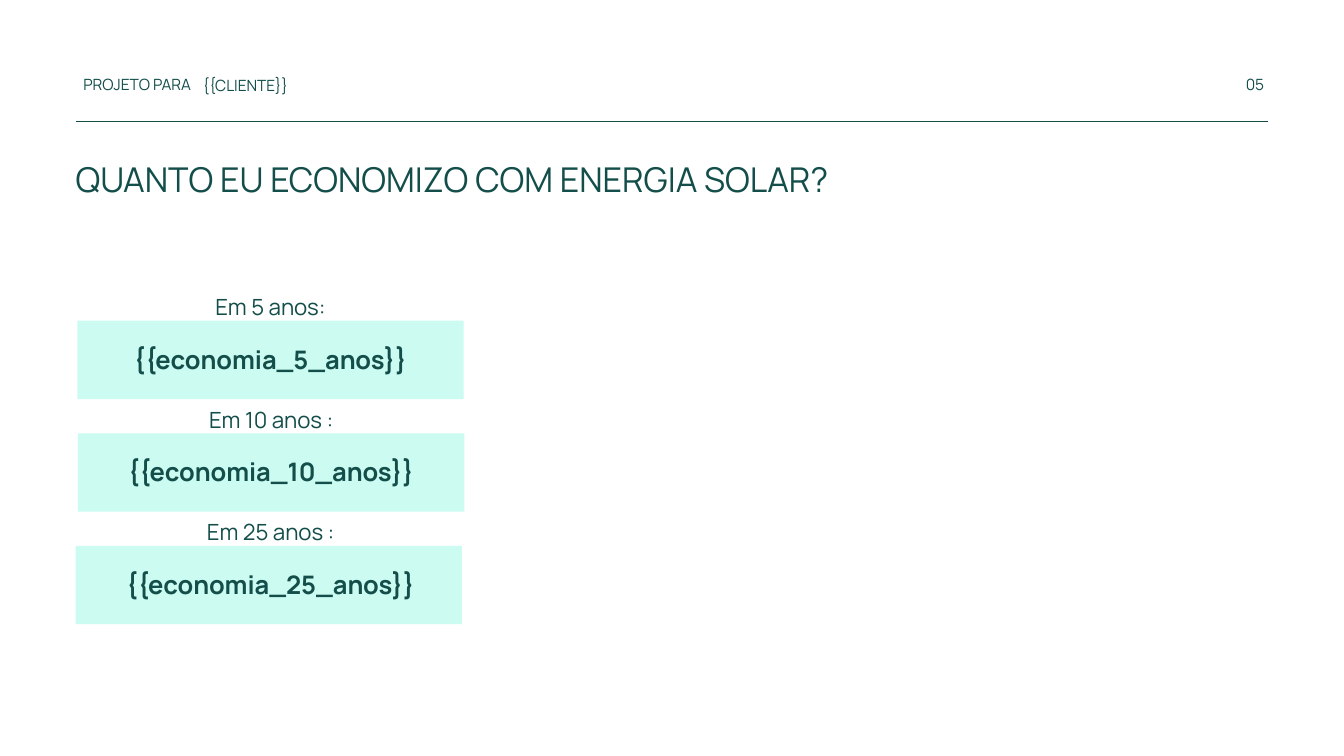
from dataclasses import dataclass

import lxml.etree
import pptx
import pptx.dml.color
import pptx.enum.shapes
import pptx.enum.text
import pptx.oxml.ns
import pptx.util

Pt = pptx.util.Pt
Align = pptx.enum.text.PP_ALIGN
TEAL = "134E4A"
MINT = "CCFBF1"
LEFT = 81
RIGHT = 1359
TOP = 309.6
PITCH = 120.6
BAND = 414


@dataclass
class Label:
    text: str
    left: float
    top: float
    width: float
    height: float
    size: float
    lead: float
    align: Align = Align.CENTER
    bold: bool = False


@dataclass
class Saving:
    title: str
    value: str
    mid: float
    box: float
    width: float


HEADS = [
    Label("QUANTO EU ECONOMIZO COM ENERGIA SOLAR?", LEFT, 162, 1278, 52, 36.6, 51.3, Align.JUSTIFY),
    Label("PROJETO PARA", 89.3, 77, 123, 23.8, 16.6, 23.3, Align.JUSTIFY),
    Label("{{CLIENTE}}", 217.4, 77.8, 285, 23, 16.6, 23.2, Align.LEFT),
    Label("05", 1330.6, 77, 28, 22.3, 16.6, 23.3),
]
SAVINGS = [
    Saving("Em 5 anos:", "{{economia_5_anos}}", 289.8, 82.8, 333.4),
    Saving("Em 10 anos :", "{{economia_10_anos}}", 290.5, 83.5, 343.4),
    Saving("Em 25 anos :", "{{economia_25_anos}}", 290, LEFT, 350),
]


def color(code: str) -> pptx.dml.color.RGBColor:
    return pptx.dml.color.RGBColor.from_string(code)


def assign(target, values: dict) -> None:
    for name, value in values.items():
        setattr(target, name, value)


def write(slide, label: Label) -> None:
    shape = slide.shapes.add_textbox(
        Pt(label.left), Pt(label.top), Pt(label.width), Pt(label.height))
    frame = shape.text_frame
    assign(frame, {
        "margin_left": 0, "margin_right": 0, "margin_top": 0, "margin_bottom": 0,
        "word_wrap": True,
        "auto_size": pptx.enum.text.MSO_AUTO_SIZE.SHAPE_TO_FIT_TEXT,
    })
    para = frame.paragraphs[0]
    assign(para, {"alignment": label.align, "line_spacing": Pt(label.lead)})
    run = para.add_run()
    run.text = label.text
    assign(run.font, {"name": "Manrope", "size": Pt(label.size), "bold": label.bold})
    run.font.color.rgb = color(TEAL)


def rule(slide, top: float) -> None:
    line = slide.shapes.add_connector(
        pptx.enum.shapes.MSO_CONNECTOR.STRAIGHT, Pt(LEFT), Pt(top), Pt(RIGHT), Pt(top))
    line.line.width = Pt(0.75)
    line.line.color.rgb = color(TEAL)
    lxml.etree.SubElement(line._element.spPr, pptx.oxml.ns.qn("a:effectLst"))


def card(slide, item: Saving, top: float) -> None:
    write(slide, Label(item.title, item.mid - BAND / 2, top, BAND, 33.8, 23.9, 33.5))
    box = slide.shapes.add_shape(
        pptx.enum.shapes.MSO_SHAPE.RECTANGLE, Pt(item.box), Pt(top + 34), Pt(BAND), Pt(84))
    box.shadow.inherit = False
    box.fill.solid()
    box.fill.fore_color.rgb = color(MINT)
    box.line.fill.background()
    write(slide, Label(item.value, item.mid - item.width / 2, top + 53.2, item.width,
                       39.6, 27.3, 38.2, bold=True))


def main() -> None:
    deck = pptx.Presentation()
    assign(deck, {"slide_width": Pt(1440), "slide_height": Pt(810)})
    slide = deck.slides.add_slide(deck.slide_layouts[6])
    rule(slide, 129.6)
    for label in HEADS:
        write(slide, label)
    for row, item in enumerate(SAVINGS):
        card(slide, item, TOP + row * PITCH)
    deck.save("out.pptx")


if __name__ == "__main__":
    main()
